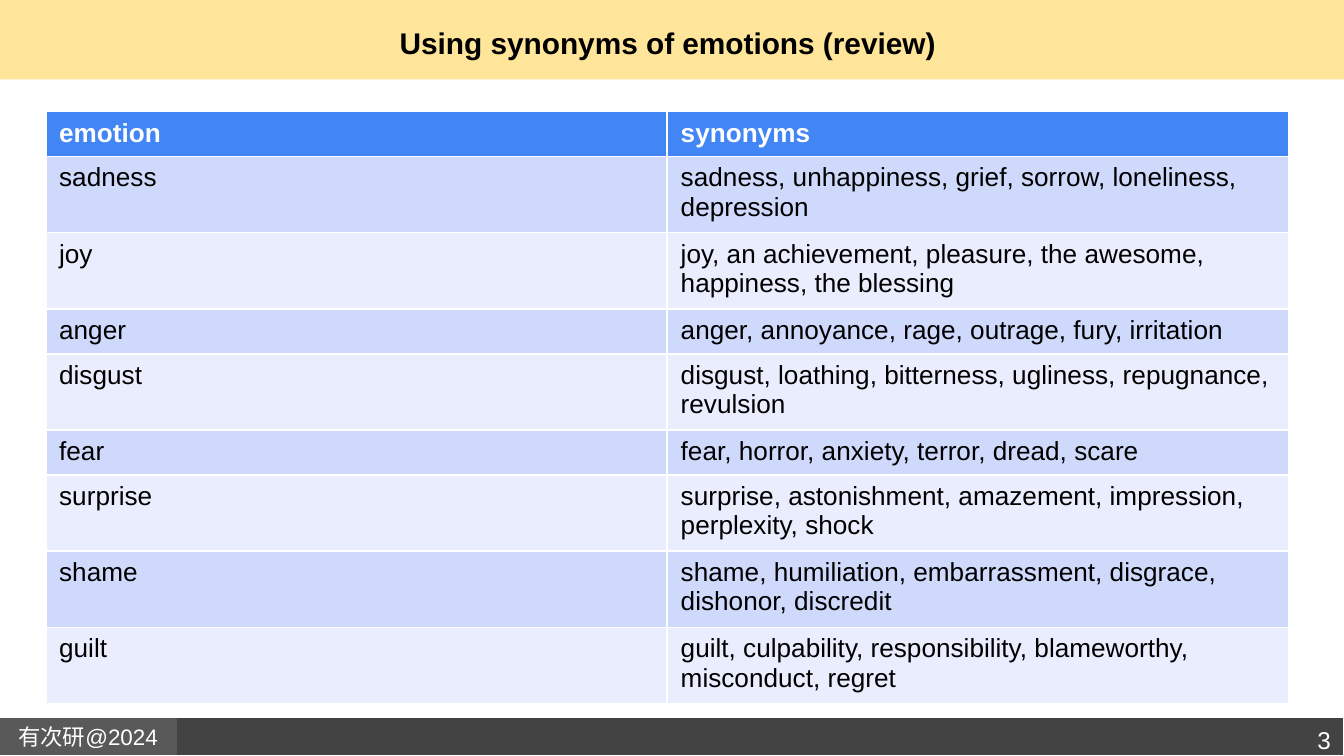
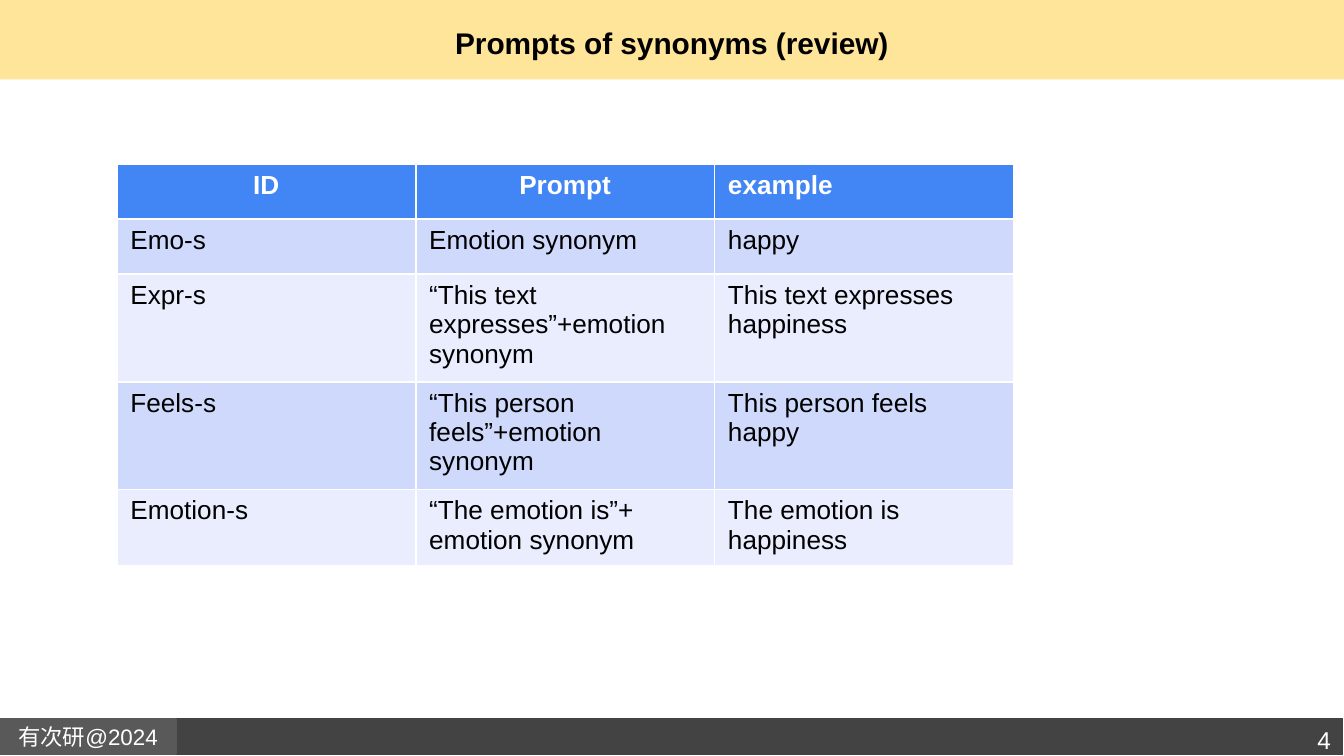
import pptx
import pptx.util
from pptx.dml.color import RGBColor
from pptx.enum.shapes import MSO_SHAPE
from pptx.enum.text import MSO_ANCHOR, PP_ALIGN

# Content
FOOTER = "有次研@2024"
SLIDES = [
    {
        "title": "Using synonyms of emotions (review) ",
        "number": "3",
        "place": (0.34, 0.83, 9.25, 4.4),
        "row_heights": [0.28, 0.48, 0.48, 0.28, 0.48, 0.28, 0.48, 0.48, 0.48],
        "centred_headings": [],
        "rows": [
            ("emotion", "synonyms"),
            ("sadness", "sadness, unhappiness, grief, sorrow, loneliness, depression"),
            ("joy", "joy, an achievement, pleasure, the awesome, happiness, the blessing"),
            ("anger", "anger, annoyance, rage, outrage, fury, irritation"),
            ("disgust", "disgust, loathing, bitterness, ugliness, repugnance, revulsion"),
            ("fear", "fear, horror, anxiety, terror, dread, scare"),
            ("surprise", "surprise, astonishment, amazement, impression, perplexity, shock"),
            ("shame", "shame, humiliation, embarrassment, disgrace, dishonor, discredit"),
            ("guilt", "guilt, culpability, responsibility, blameworthy, misconduct, regret"),
        ],
    },
    {
        "title": "Prompts of synonyms (review)",
        "number": "4",
        "place": (0.87, 1.22, 6.67, 2.98),
        "row_heights": [0.41] * 5,
        "centred_headings": ["ID", "Prompt"],
        "rows": [
            ("ID", "Prompt", "example"),
            ("Emo-s", "Emotion synonym", "happy"),
            ("Expr-s", "“This text expresses”+emotion synonym", "This text expresses happiness"),
            ("Feels-s", "“This person feels”+emotion synonym", "This person feels happy"),
            ("Emotion-s", "“The emotion is”+ emotion synonym", "The emotion is happiness"),
        ],
    },
]

# Shared look
WIDTH, HEIGHT = 10, 5.625
FONT = "Arial"
BLACK = RGBColor(0x00, 0x00, 0x00)
WHITE = RGBColor(0xFF, 0xFF, 0xFF)
CREAM = RGBColor(0xFF, 0xE5, 0x99)
DARK_GREY = RGBColor(0x43, 0x43, 0x43)
GREY = RGBColor(0x59, 0x59, 0x59)
BLUE = RGBColor(0x42, 0x85, 0xF4)
BANDS = [RGBColor(0xCF, 0xD9, 0xFB), RGBColor(0xE9, 0xED, 0xFD)]


def inches(*lengths):
    return [pptx.util.Inches(length) for length in lengths]


def write(frame, text, size, color, bold=False, align=PP_ALIGN.LEFT):
    para = frame.paragraphs[0]
    para.alignment = align
    span = para.add_run()
    span.text = text
    span.font.name = FONT
    span.font.size = pptx.util.Pt(size)
    span.font.bold = bold
    span.font.color.rgb = color


def set_frame(box, anchor):
    frame = box.text_frame
    frame.word_wrap = True
    frame.vertical_anchor = anchor
    frame.margin_left = frame.margin_right = pptx.util.Inches(0.1)
    frame.margin_top = frame.margin_bottom = pptx.util.Inches(0.1)
    return frame


def add_band(page, place, fill, line=None):
    band = page.shapes.add_shape(MSO_SHAPE.RECTANGLE, *inches(*place))
    band.shadow.inherit = False
    band.fill.solid()
    band.fill.fore_color.rgb = fill
    if line is None:
        band.line.fill.background()
    else:
        band.line.color.rgb = line
        band.line.width = pptx.util.Pt(0.75)
    return band


def add_text(page, place, anchor, *style, **options):
    box = page.shapes.add_textbox(*inches(*place))
    write(set_frame(box, anchor), *style, **options)


def add_page(deck, title, number):
    page = deck.slides.add_slide(deck.slide_layouts[6])
    add_band(page, (0, 0, WIDTH, 0.59), CREAM)
    add_band(page, (0, 5.34, WIDTH, 0.28), DARK_GREY, WHITE)
    label = add_band(page, (0, 5.35, 1.31, 0.26), GREY, GREY)
    write(set_frame(label, MSO_ANCHOR.MIDDLE), FOOTER, 12, WHITE, align=PP_ALIGN.CENTER)
    add_text(page, (0.34, 0, 9.32, 0.63), MSO_ANCHOR.MIDDLE,
             title, 16, BLACK, bold=True, align=PP_ALIGN.CENTER)
    add_text(page, (WIDTH - 1.05, 5.3, 1.05, 0.37), MSO_ANCHOR.TOP,
             number, 13, WHITE, align=PP_ALIGN.RIGHT)
    return page


def add_table(page, rows, place, row_heights, centred_headings):
    # The default table style supplies the white rules
    holder = page.shapes.add_table(len(rows), len(rows[0]), *inches(*place))
    table = holder.table
    for row, height in zip(table.rows, row_heights):
        row.height = pptx.util.Inches(height)
    holder.height = pptx.util.Inches(place[3])
    for row_index, texts in enumerate(rows):
        heading = row_index == 0
        for column_index, text in enumerate(texts):
            cell = table.cell(row_index, column_index)
            cell.fill.solid()
            cell.fill.fore_color.rgb = BLUE if heading else BANDS[(row_index - 1) % 2]
            centred = heading and text in centred_headings
            write(cell.text_frame, text, 14, WHITE if heading else BLACK, bold=heading,
                  align=PP_ALIGN.CENTER if centred else PP_ALIGN.LEFT)


def main():
    deck = pptx.Presentation()
    deck.slide_width, deck.slide_height = inches(WIDTH, HEIGHT)
    for content in SLIDES:
        page = add_page(deck, content["title"], content["number"])
        add_table(page, content["rows"], content["place"],
                  content["row_heights"], content["centred_headings"])
    deck.save("out.pptx")


if __name__ == "__main__":
    main()
